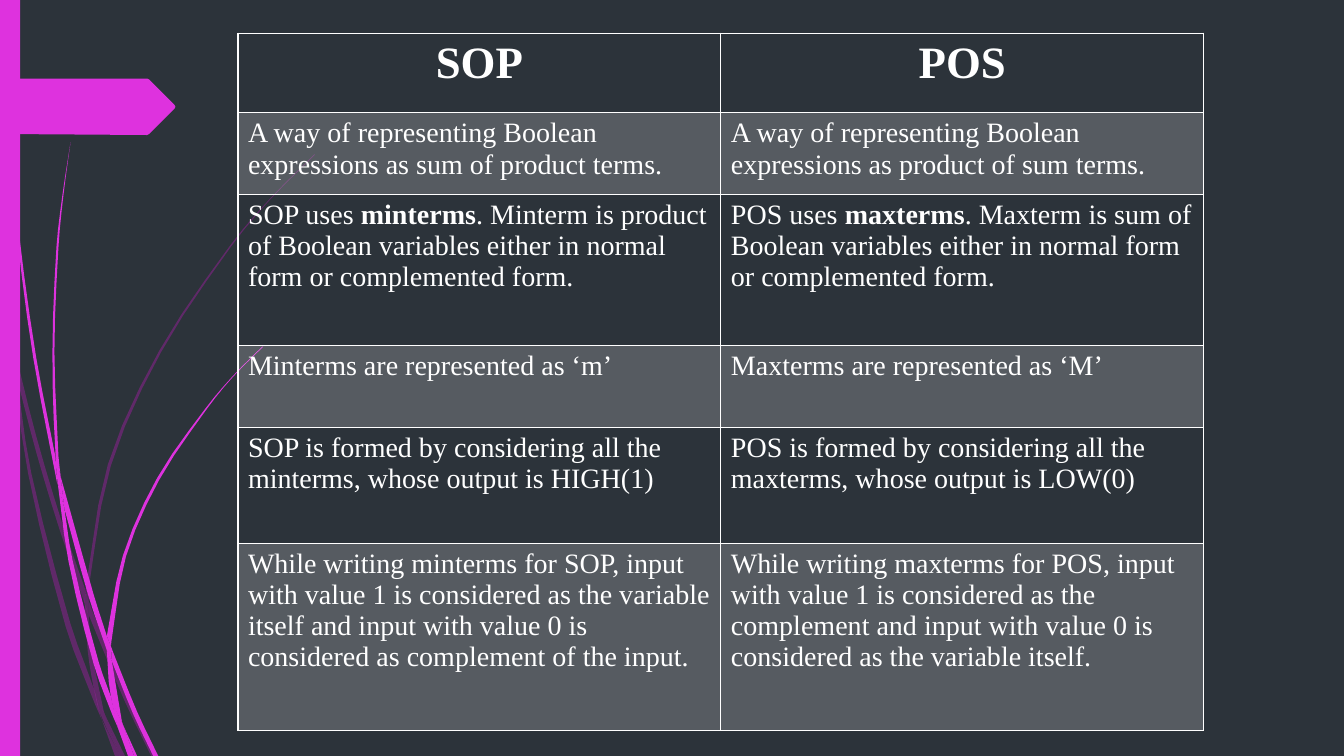
import math
from lxml import etree
from pptx import Presentation, util as u
from pptx.dml.color import RGBColor
from pptx.enum import shapes, text
from pptx.oxml import parse_xml
from pptx.oxml.ns import nsdecls, qn

BACKGROUND = "2C333A"
MAGENTA = "DE32DE"
PURPLE = "B01CB0"
WHITE = "FFFFFF"
SERIF = "Times New Roman"
STEPS = 3

FAINT_BLADES = [
    ([(0, 2.82), (.09, 3.22), (.11, 3.5)], [(0, 2.99), (.1, 3.44)]),
    ([(.14, 3.45), (.36, 4.33), (.62, 5.2), (.85, 5.86)],
     [(.17, 3.76), (.36, 4.49), (.58, 5.22), (.84, 5.99)]),
    ([(.88, 5.96), (.92, 6.07), (1.27, 6.92), (1.55, 7.5)],
     [(.88, 6.1), (1.23, 6.94), (1.5, 7.5)]),
    ([(1.05, 7.11), (1.24, 7.5)], [(1.19, 7.5)]),
    ([(.11, 3.5), (.28, 4.7), (.65, 6.21), (.92, 6.93), (1.01, 7.14)],
     [(.17, 3.76), (.31, 4.69), (.7, 6.19), (.93, 6.83), (.99, 7.07)]),
    ([(.84, 5.99), (.87, 6.46), (.93, 6.83), (.96, 6.92), (1.05, 7.11)],
     [(.88, 6.1), (.91, 6.46), (1.03, 7.06)]),
    ([(3.12, 1.53), (2.68, 1.97), (2.28, 2.44), (1.58, 3.48), (1.07, 4.61),
      (.85, 5.84)],
     [(3.12, 1.54), (2.68, 1.98), (2.29, 2.45), (1.6, 3.49), (1.1, 4.62),
      (.88, 5.84), (.88, 5.96)]),
    ([(1.01, 7.14), (1.14, 7.5)], [(1.19, 7.5)]),
    ([(.85, 5.86), (.84, 5.99), (.88, 6.1)], [(.88, 5.96)]),
    ([(.93, 6.83), (.99, 7.07), (1.19, 7.5)], [(.96, 6.92), (1.05, 7.11)]),
]
BRIGHT_BLADES = [
    ([(.03, 0), (.04, .48), (.07, 1.1), (.17, 2.33), (.33, 3.55), (.57, 4.81)],
     [(.04, 0), (.05, .48), (.08, 1.09), (.19, 2.32), (.36, 3.55), (.55, 4.53)]),
    ([(.6, 4.72), (.93, 5.9), (1.06, 6.31)],
     [(.64, 5.05), (.88, 5.92), (1.06, 6.45)]),
    ([(1.1, 6.41), (1.13, 6.49), (1.36, 7.06), (1.57, 7.5)],
     [(1.11, 6.56), (1.32, 7.08), (1.52, 7.5)]),
    ([(.57, 4.77), (.68, 5.57), (.93, 6.59), (1.11, 7.08), (1.17, 7.22)],
     [(.64, 5.05), (.72, 5.56), (.98, 6.57), (1.1, 6.91)]),
    ([(.7, 1.41), (.62, 1.93), (.56, 2.45), (.52, 3.49), (.55, 4.49), (.6, 4.72)],
     [(.7, 1.41), (.63, 1.93), (.58, 2.45), (.54, 3.49), (.58, 4.53)]),
    ([(1.22, 7.19), (1.33, 7.5)], [(1.36, 7.5)]),
    ([(.55, 4.49), (.57, 4.77), (.64, 5.05)], [(.6, 4.72)]),
    ([(2.6, 3.44), (2.31, 3.73), (2.04, 4.05), (1.56, 4.74), (1.22, 5.51),
      (1.06, 6.31)],
     [(2.61, 3.44), (2.31, 3.74), (2.05, 4.06), (1.58, 4.76), (1.25, 5.52),
      (1.11, 6.33), (1.1, 6.41)]),
    ([(1.17, 7.22), (1.27, 7.5)], [(1.31, 7.5)]),
    ([(1.06, 6.45), (1.1, 6.91), (1.22, 7.19)], [(1.11, 6.56), (1.21, 7.16)]),
    ([(1.06, 6.31), (1.06, 6.45), (1.11, 6.56)], [(1.1, 6.41)]),
    ([(1.1, 6.91), (1.17, 7.22), (1.3, 7.5)],
     [(1.16, 7.06), (1.22, 7.19), (1.33, 7.5)]),
]
ARROW = [(0, .78), (1.46, .78), (1.48, .79), (1.73, 1.04), (1.74, 1.06),
         (1.73, 1.08), (1.48, 1.33), (1.46, 1.34), (0, 1.33)]

ROW_HEIGHTS = [.79, .81, 1.5, .81, 1.15, 1.86]
COMPARISON = [
    ("SOP", "POS"),
    ("A way of representing Boolean expressions as sum of product terms.",
     "A way of representing Boolean expressions as product of sum terms."),
    ("SOP uses *minterms*. Minterm is product of Boolean variables either "
     "in normal form or complemented form.",
     "POS uses *maxterms*. Maxterm is sum of Boolean variables either "
     "in normal form or complemented form."),
    ("Minterms are represented as ‘m’", "Maxterms are represented as ‘M’"),
    ("SOP is formed by considering all the minterms, whose output is HIGH(1)",
     "POS is formed by considering all the maxterms, whose output is LOW(0)"),
    ("While writing minterms for SOP, input with value 1 is considered as the "
     "variable itself and input with value 0 is considered as complement of the input.",
     "While writing maxterms for POS, input with value 1 is considered as the "
     "complement and input with value 0 is considered as the variable itself."),
]


def color(value):
    return RGBColor.from_string(value)


def paint(fill, owner, value, opacity=100):
    fill.solid()
    fill.fore_color.rgb = color(value)
    if opacity < 100:
        tint = owner.find(f"{qn('a:solidFill')}/{qn('a:srgbClr')}")
        etree.SubElement(tint, qn("a:alpha"), val=str(opacity * 1000))


def finish(shape, value, opacity=100):
    paint(shape.fill, shape._element.spPr, value, opacity)
    shape.line.fill.background()
    shape.shadow.inherit = False


def smooth(knots):
    headings = []
    for i in range(len(knots)):
        before, after = knots[max(i - 1, 0)], knots[min(i + 1, len(knots) - 1)]
        span = math.dist(before, after) or 1
        headings.append([(b - a) / span for a, b in zip(before, after)])
    edge = []
    for i, (start, end) in enumerate(zip(knots, knots[1:])):
        length = math.dist(start, end)
        for step in range(STEPS):
            t = step / STEPS
            edge.append([
                p + (q - p) * t * t * (3 - 2 * t)
                + length * t * (1 - t) * (m * (1 - t) - n * t)
                for p, q, m, n in zip(start, end, headings[i], headings[i + 1])])
    return edge + [knots[-1]]


def add_outline(slide, points, value, opacity=100):
    corners = [(u.Inches(x), u.Inches(y)) for x, y in points]
    builder = slide.shapes.build_freeform(*corners[0])
    builder.add_line_segments(corners[1:], close=True)
    finish(builder.convert_to_shape(), value, opacity)


def add_blades(slide, blades, value, opacity=100):
    for outer, inner in blades:
        add_outline(slide, smooth(outer) + smooth(inner)[::-1], value, opacity)


def add_side_bar(slide):
    bar = slide.shapes.add_shape(
        shapes.MSO_SHAPE.RECTANGLE, 0, 0, u.Inches(.2), u.Inches(7.5))
    finish(bar, MAGENTA)


def add_borders(cell):
    for side in ("lnL", "lnR", "lnT", "lnB"):
        cell._tc.get_or_add_tcPr().append(parse_xml(
            f'<a:{side} {nsdecls("a")} w="12700"><a:solidFill>'
            f'<a:srgbClr val="{WHITE}"/></a:solidFill></a:{side}>'))


def write_cell(cell, wording, heading):
    paragraph = cell.text_frame.paragraphs[0]
    if heading:
        paragraph.alignment = text.PP_ALIGN.CENTER
    for i, part in enumerate(wording.split("*")):
        run = paragraph.add_run()
        run.text = part
        run.font.name = SERIF
        run.font.size = u.Pt(32 if heading else 20)
        run.font.bold = heading or i % 2 == 1
        run.font.color.rgb = color(WHITE)


def add_comparison(slide):
    table = slide.shapes.add_table(
        len(COMPARISON), 2, u.Inches(2.36), u.Inches(.33),
        u.Inches(9.58), u.Inches(sum(ROW_HEIGHTS))).table
    table.first_row = table.horz_banding = False
    for r, (height, wordings) in enumerate(zip(ROW_HEIGHTS, COMPARISON)):
        table.rows[r].height = u.Inches(height)
        for c, wording in enumerate(wordings):
            cell = table.cell(r, c)
            write_cell(cell, wording, heading=r == 0)
            add_borders(cell)
            if r % 2:
                paint(cell.fill, cell._tc.tcPr, WHITE, 20)
            else:
                cell.fill.background()


def main():
    deck = Presentation()
    deck.slide_width, deck.slide_height = u.Inches(13.33), u.Inches(7.5)
    slide = deck.slides.add_slide(deck.slide_layouts[6])
    slide.background.fill.solid()
    slide.background.fill.fore_color.rgb = color(BACKGROUND)
    add_blades(slide, FAINT_BLADES, PURPLE, 40)
    add_blades(slide, BRIGHT_BLADES, MAGENTA)
    add_side_bar(slide)
    add_outline(slide, ARROW, MAGENTA)
    add_comparison(slide)
    deck.save("out.pptx")


if __name__ == "__main__":
    main()
